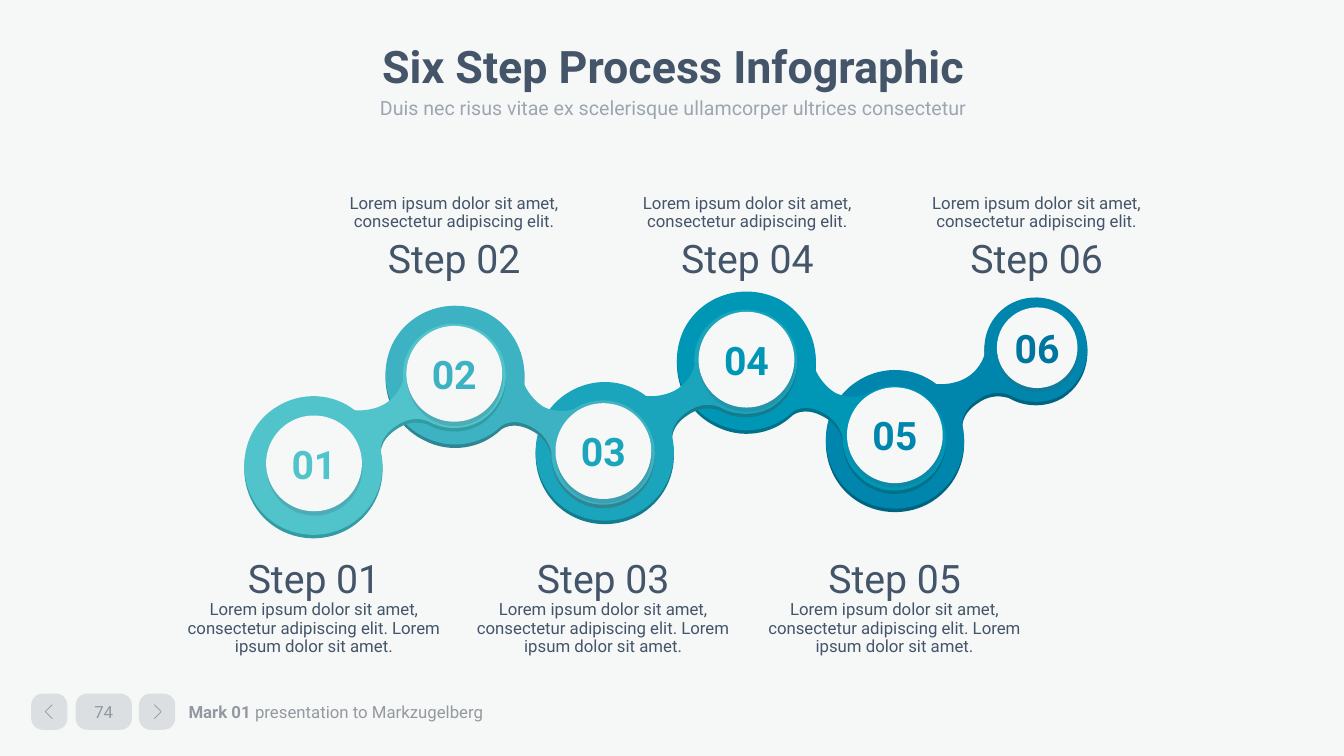
from pptx import Presentation
from pptx.dml.color import RGBColor
from pptx.enum.shapes import MSO_SHAPE
from pptx.enum.text import MSO_ANCHOR, MSO_AUTO_SIZE, PP_ALIGN
from pptx.oxml.ns import qn
from pptx.util import Pt
from lxml import etree

FONT = "Roboto"
PAPER = RGBColor(0xF6, 0xF8, 0xF8)
INK = RGBColor(0x44, 0x54, 0x69)
FOOTER_GRAY = RGBColor(0x94, 0x99, 0xA1)
NUMBER_COLORS = [
    RGBColor(0x51, 0xC3, 0xCA), RGBColor(0x3C, 0xB2, 0xC3), RGBColor(0x1A, 0xA5, 0xBD),
    RGBColor(0x00, 0x97, 0xB7), RGBColor(0x00, 0x86, 0xAC), RGBColor(0x00, 0x75, 0x9E),
]
EDGE_COLORS = [
    RGBColor(0x32, 0x9C, 0xA3), RGBColor(0x2D, 0x86, 0x92), RGBColor(0x13, 0x7C, 0x8E),
    RGBColor(0x00, 0x71, 0x89), RGBColor(0x00, 0x64, 0x81),
]

GRID = 0.72
RISING_LINK = [
    (160, 67), (160, 67), (157, 81), (143, 90), (129, 99), (112, 97), (112, 97),
    (90, 80), (59, 78), (34, 94), (2, 114), (-7, 157), (13, 189),
    (33, 221), (76, 230), (108, 210), (133, 194), (144, 165), (138, 138),
    (138, 138), (135, 124), (154, 112), (170, 101), (185, 108), (185, 108),
    (201, 117), (222, 117), (238, 107), (262, 91), (269, 59), (254, 35),
    (239, 11), (207, 4), (183, 19), (166, 30), (158, 49), (160, 67),
]
FALLING_LINK = [
    (189, 126), (189, 126), (175, 131), (160, 124), (146, 116), (140, 101), (140, 101),
    (143, 73), (130, 45), (104, 31), (70, 14), (28, 26), (10, 60),
    (-7, 94), (6, 136), (40, 153), (66, 167), (97, 162), (117, 143),
    (117, 143), (128, 133), (148, 144), (165, 153), (167, 169), (167, 169),
    (167, 188), (177, 205), (195, 215), (220, 228), (251, 218), (264, 193),
    (277, 168), (267, 137), (242, 123), (225, 114), (204, 116), (189, 126),
]
LINK_ORIGINS = [(172.8, 223.2), (273.6, 201.6), (380.9, 213.1), (481.7, 191.5), (588.2, 204.5)]
DISCS = [(190.1, 296.8, 68.4), (290.3, 232.8, 68.4), (396.8, 288, 68.4),
         (499, 222.7, 68.4), (605, 276.7, 68.4), (712.1, 219.6, 57.6)]
SHORT_TEXT = "Lorem ipsum dolor sit amet, consectetur adipiscing elit."
LONG_TEXT = SHORT_TEXT + " Lorem ipsum dolor sit amet."


def fade(element, percent):
    """Make every plain colour inside the element partly transparent."""
    for color in element.iter(qn("a:srgbClr")):
        etree.SubElement(color, qn("a:alpha")).set("val", str(percent * 1000))


def paint(shape, color, opacity=100):
    """Give a shape a flat fill without line or shadow."""
    shape.shadow.inherit = False
    shape.fill.solid()
    shape.fill.fore_color.rgb = color
    shape.line.fill.background()
    if opacity < 100:
        fade(shape.element.spPr, opacity)


def style(para, size, color=INK, bold=False, align=PP_ALIGN.CENTER, spacing=1.0, before=0):
    """Set the look of a whole paragraph."""
    para.alignment = align
    para.line_spacing = spacing
    para.space_before = Pt(before)
    para.font.name = FONT
    para.font.size = Pt(size)
    para.font.bold = bold
    para.font.color.rgb = color


def label_shape(shape, text, size, color, bold=False):
    """Centre a short label in a shape."""
    frame = shape.text_frame
    frame.margin_left = frame.margin_right = frame.margin_top = frame.margin_bottom = 0
    frame.word_wrap = False
    frame.vertical_anchor = MSO_ANCHOR.MIDDLE
    frame.text = text
    style(frame.paragraphs[0], size, color, bold)


def add_outline(page, points, close):
    """Draw a freeform through points given in points."""
    corners = [(Pt(x), Pt(y)) for x, y in points]
    builder = page.shapes.build_freeform(*corners[0], scale=1.0)
    builder.add_line_segments(corners[1:], close=close)
    return builder.convert_to_shape()


def bend(shape):
    """Turn each three line segments of a freeform into one cubic curve."""
    segments = list(shape.element.spPr.iter(qn("a:lnTo")))
    for start in range(0, len(segments) - 2, 3):
        curve = etree.Element(qn("a:cubicBezTo"))
        segments[start].addprevious(curve)
        for segment in segments[start:start + 3]:
            curve.append(segment[0])
            segment.getparent().remove(segment)


def add_link(page, index):
    """Draw one two-lobed link with its dark lower edge."""
    left, top = LINK_ORIGINS[index]
    outline = FALLING_LINK if index % 2 else RISING_LINK
    for drop, color in ((2.5, EDGE_COLORS[index]), (0, NUMBER_COLORS[index])):
        points = [(left + x * GRID, top + drop + y * GRID) for x, y in outline]
        link = add_outline(page, points, False)
        bend(link)
        paint(link, color)


def add_disc(page, index):
    """Draw one numbered disc over its soft shade."""
    left, top, size = DISCS[index]
    for shift, drop, color, opacity in ((0.4, 3.1, INK, 20), (0, 0, PAPER, 100)):
        disc = page.shapes.add_shape(MSO_SHAPE.OVAL, Pt(left + shift), Pt(top + drop),
                                     Pt(size), Pt(size))
        paint(disc, color, opacity)
    label_shape(disc, f"{index + 1:02d}", 28, NUMBER_COLORS[index], True)


def add_step_text(page, left, number):
    """Write a step below the chain if odd, above it if even."""
    below = number % 2 == 1
    top, height = (392.4, 93.6) if below else (135.4, 89.3)
    box = page.shapes.add_textbox(Pt(left), Pt(top), Pt(196.6), Pt(height))
    frame = box.text_frame
    frame.word_wrap = True
    heading = f"Step {number:02d}"
    frame.text = f"{heading}\n{LONG_TEXT}" if below else f"{SHORT_TEXT}\n{heading}"
    first, second = frame.paragraphs
    if below:
        style(first, 28)
        style(second, 12, spacing=0.9)
    else:
        style(first, 12, spacing=0.9)
        style(second, 28, spacing=0.9, before=6)


def add_heading(page):
    """Fill the title and subtitle placeholders."""
    title, subtitle = page.shapes.title, page.placeholders[1]
    for holder, text, box in (
        (title, "Six Step Process Infographic", (67, 28.8, 828, 40.3)),
        (subtitle, "Duis nec risus vitae ex scelerisque ullamcorper ultrices consectetur",
         (141.1, 61.2, 679.7, 30.2)),
    ):
        holder.left, holder.top, holder.width, holder.height = map(Pt, box)
        holder.text_frame.text = text
        holder.text_frame.auto_size = MSO_AUTO_SIZE.NONE
    title.text_frame.vertical_anchor = MSO_ANCHOR.MIDDLE
    style(title.text_frame.paragraphs[0], 32, bold=True, spacing=0.9)
    para = subtitle.text_frame.paragraphs[0]
    properties = para._p.get_or_add_pPr()
    properties.set("marL", "0")
    properties.set("indent", "0")
    etree.SubElement(properties, qn("a:buNone"))
    style(para, 14, spacing=1.2)
    fade(para._p, 50)


def add_footer(page, left, top, height):
    """Draw the page buttons and the presentation name."""
    for offset, width in ((0, 25.9), (31.7, 40.3), (77, 25.9)):
        button = page.shapes.add_shape(MSO_SHAPE.ROUNDED_RECTANGLE, Pt(left + offset), Pt(top),
                                       Pt(width), Pt(height))
        button.adjustments[0] = 0.32
        paint(button, INK, 15)
        if width > height:
            label_shape(button, "74", 12, INK)
            fade(button.text_frame.paragraphs[0]._p, 50)
    middle = top + height / 2
    for tip, direction in ((left + 10.1, 1), (left + 92.9, -1)):
        tail = tip + 5 * direction
        arrow = add_outline(page, [(tail, middle + 5), (tip, middle), (tail, middle - 5)], False)
        arrow.shadow.inherit = False
        arrow.fill.background()
        arrow.line.color.rgb = INK
        arrow.line.width = Pt(0.5)
        fade(arrow.element.spPr, 50)
    box = page.shapes.add_textbox(Pt(left + 103), Pt(top + 0.7), Pt(264.2), Pt(24.5))
    frame = box.text_frame
    frame.word_wrap = True
    frame.vertical_anchor = MSO_ANCHOR.MIDDLE
    frame.margin_left = frame.margin_right = Pt(9.4)
    para = frame.paragraphs[0]
    style(para, 12, FOOTER_GRAY, align=PP_ALIGN.LEFT)
    for text, bold in (("Mark 01 ", True), ("presentation to Markzugelberg", False)):
        span = para.add_run()
        span.text = text
        span.font.bold = bold


def main():
    """Build the six step slide and save it."""
    deck = Presentation()
    deck.slide_width, deck.slide_height = Pt(960), Pt(540)
    page = deck.slides.add_slide(deck.slide_layouts[1])
    page.background.fill.solid()
    page.background.fill.fore_color.rgb = PAPER
    add_footer(page, 22.3, 495.4, 25.9)
    for index in reversed(range(len(LINK_ORIGINS))):
        add_link(page, index)
    for index in range(len(DISCS)):
        add_disc(page, index)
    for number, left in enumerate((126, 226.1, 332.6, 435.6, 540.7, 642.2), 1):
        add_step_text(page, left, number)
    add_heading(page)
    deck.save("out.pptx")


if __name__ == "__main__":
    main()
